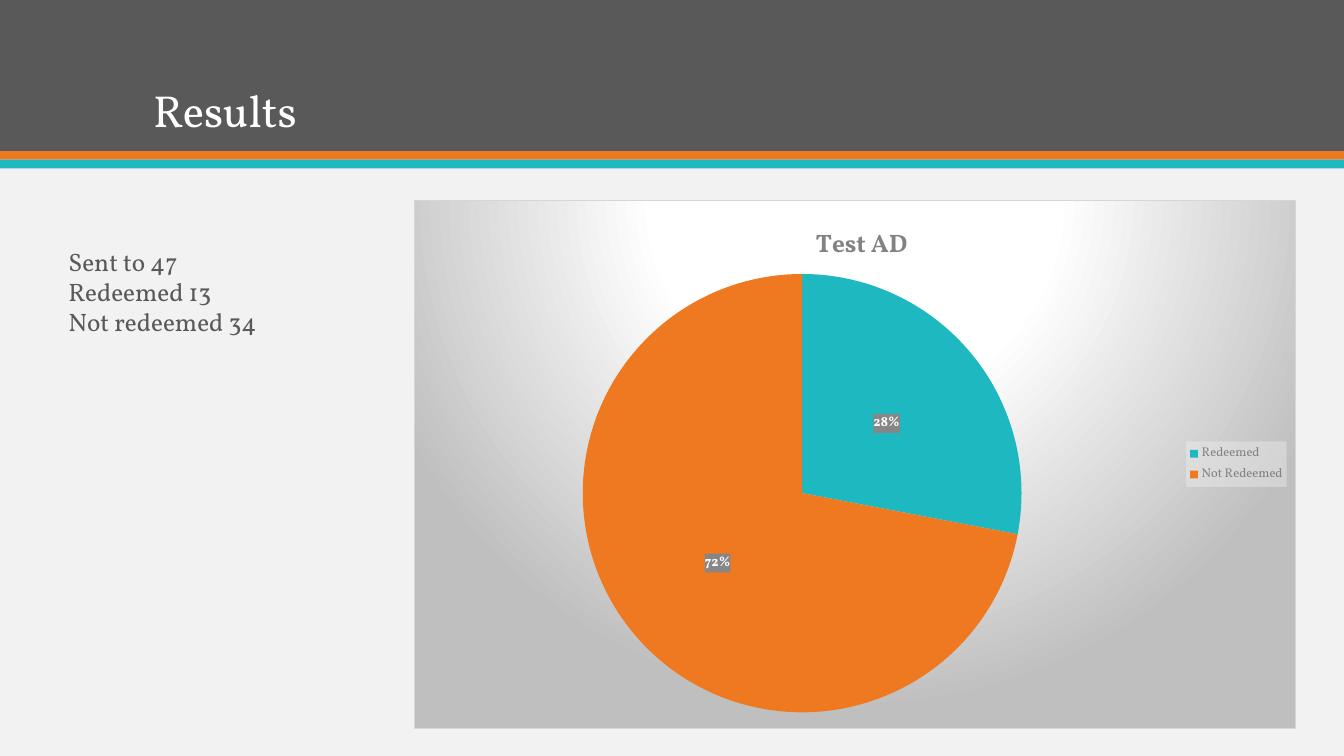
from lxml import etree
from pptx import Presentation
from pptx.chart.data import CategoryChartData
from pptx.dml.color import RGBColor
from pptx.enum.chart import XL_CHART_TYPE as ChartType
from pptx.enum.chart import XL_LABEL_POSITION as LabelPosition
from pptx.enum.chart import XL_LEGEND_POSITION as LegendPosition
from pptx.enum.shapes import MSO_SHAPE as Preset
from pptx.enum.text import MSO_ANCHOR as Anchor
from pptx.oxml import parse_xml
from pptx.util import Inches, Pt

WIDTH, HEIGHT = 13.33, 7.5
FONT = "Vollkorn"
GREY, ORANGE, TEAL = "595959", "EF7920", "1EB8C1"
WHITE, PALE, MUTED = "FFFFFF", "F2F2F2", "828282"
HEADER_HEIGHT = HEIGHT / 5
STRIPE_HEIGHT = 0.085
NAMESPACES = (
    'xmlns:c="http://schemas.openxmlformats.org/drawingml/2006/chart" '
    'xmlns:a="http://schemas.openxmlformats.org/drawingml/2006/main"'
)


def color(value):
    return RGBColor.from_string(value)


def box(left, top, width, height):
    return [Inches(length) for length in (left, top, width, height)]


def format_font(font, size, fill, bold=False):
    font.name = FONT
    font.size = Pt(size)
    font.bold = bold
    font.color.rgb = color(fill)


def add_band(slide, top, height, fill):
    band = slide.shapes.add_shape(Preset.RECTANGLE, *box(0, top, WIDTH, height))
    band.shadow.inherit = False
    band.fill.solid()
    band.fill.fore_color.rgb = color(fill)
    band.line.fill.background()


def add_text(slide, text, place, size, fill, anchor=Anchor.TOP, spacing=None):
    """Add a text box with one paragraph for each line of the text."""
    frame = slide.shapes.add_textbox(*box(*place)).text_frame
    frame.word_wrap = True
    frame.vertical_anchor = anchor
    frame.text = text
    for paragraph in frame.paragraphs:
        paragraph.line_spacing = spacing
        format_font(paragraph.font, size, fill)


def solid_fill(value, opacity=100):
    return (
        f'<a:solidFill><a:srgbClr val="{value}">'
        f'<a:alpha val="{opacity * 1000}"/></a:srgbClr></a:solidFill>'
    )


def radial_fill(stops):
    """Return a circular gradient centred above the top edge."""
    marks = "".join(
        f'<a:gs pos="{position * 1000}"><a:srgbClr val="{value}"/></a:gs>'
        for position, value in stops
    )
    return (
        f'<a:gradFill><a:gsLst>{marks}</a:gsLst><a:path path="circle">'
        '<a:fillToRect l="50000" t="-80000" r="50000" b="180000"/>'
        "</a:path></a:gradFill>"
    )


def set_area(element, fill, border="<a:ln><a:noFill/></a:ln>"):
    """Give a chart part, whose font is already set, a fill and a border."""
    area = parse_xml(f"<c:spPr {NAMESPACES}>{fill}{border}</c:spPr>")
    element.find("{*}txPr").addprevious(area)


def make_layout(target="", **shares):
    """Return a manual layout, in shares of the chart's size."""
    layout = parse_xml(f"<c:layout {NAMESPACES}><c:manualLayout/></c:layout>")
    namespace = etree.QName(layout).namespace
    settings = {"layoutTarget": target} if target else {}
    settings.update(xMode="edge", yMode="edge", **shares)
    for name, value in settings.items():
        item = etree.SubElement(layout[0], f"{{{namespace}}}{name}")
        item.set("val", str(value))
    return layout


def replace_layout(element, layout, index):
    for old in element.findall("{*}layout"):
        element.remove(old)
    element.insert(index, layout)


def add_pie(slide, title, values, colors, place):
    data = CategoryChartData()
    data.categories = list(values)
    data.add_series("Series 1", list(values.values()))
    frame = slide.shapes.add_chart(ChartType.PIE, *box(*place), data)
    chart = frame.chart
    root = chart.element
    format_font(chart.font, 10, GREY)
    border = f'<a:ln w="9525">{solid_fill("D6D6D6")}</a:ln>'
    background = radial_fill([(0, WHITE), (39, WHITE), (100, "BFBFBF")])
    set_area(root, background, border)

    chart.has_title = True
    heading = chart.chart_title.text_frame
    heading.text = title
    format_font(heading.paragraphs[0].runs[0].font, 18, MUTED, bold=True)
    replace_layout(root.find(".//{*}title"), make_layout(x=0.45, y=0.04), 1)

    chart.has_legend = True
    legend = chart.legend
    legend.position = LegendPosition.RIGHT
    legend.include_in_layout = False
    format_font(legend.font, 9, MUTED)
    set_area(root.find(".//{*}legend"), solid_fill(PALE, 39))

    plot = chart.plots[0]
    plot.vary_by_categories = True
    pie_layout = make_layout("inner", x=0.19, y=0.14, w=0.5, h=0.83)
    replace_layout(root.find(".//{*}plotArea"), pie_layout, 0)
    series = plot.series[0]
    for index, value in enumerate(colors):
        fill = series.points[index].format.fill
        fill.solid()
        fill.fore_color.rgb = color(value)

    labels = series.data_labels
    labels.show_percentage = True
    labels.show_value = False
    labels.number_format = "0%"
    labels.number_format_is_linked = False
    labels.position = LabelPosition.CENTER
    format_font(labels.font, 10, WHITE, bold=True)
    set_area(root.find(".//{*}ser/{*}dLbls"), solid_fill("868686"))


def main():
    presentation = Presentation()
    presentation.slide_width = Inches(WIDTH)
    presentation.slide_height = Inches(HEIGHT)
    slide = presentation.slides.add_slide(presentation.slide_layouts[6])
    slide.background.fill.solid()
    slide.background.fill.fore_color.rgb = color(PALE)

    add_band(slide, 0, HEADER_HEIGHT, GREY)
    for row, fill in enumerate((ORANGE, TEAL)):
        add_band(slide, HEADER_HEIGHT + row * STRIPE_HEIGHT, STRIPE_HEIGHT, fill)
    add_text(slide, "Results", (1.42, 0.28, 10.5, 1.13), 32, WHITE,
             anchor=Anchor.BOTTOM, spacing=0.9)
    add_pie(slide, "Test AD", {"Redeemed": 28, "Not Redeemed": 72},
            (TEAL, ORANGE), (4.11, 1.98, 8.74, 5.25))
    add_text(slide, "Sent to 47\nRedeemed 13\nNot redeemed 34",
             (0.58, 2.39, 2.92, 1.01), 18, GREY)
    presentation.save("out.pptx")


if __name__ == "__main__":
    main()
